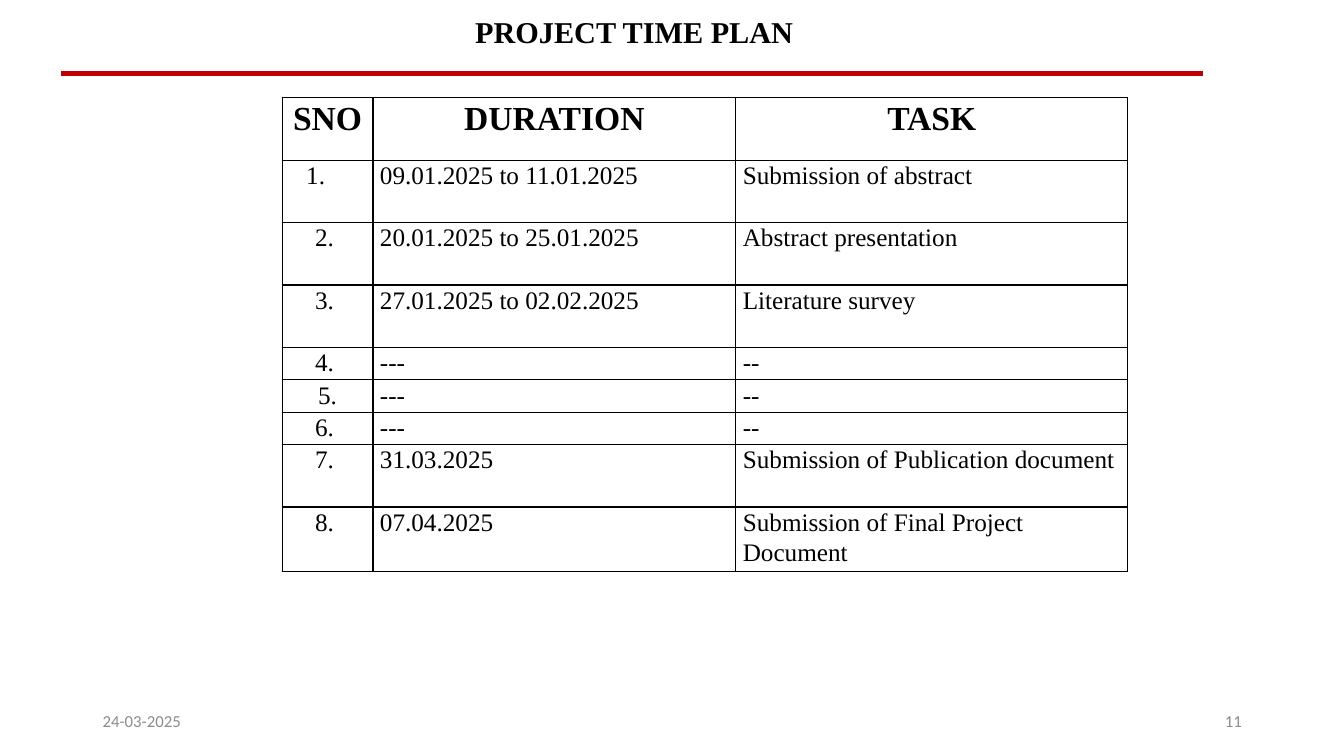
import pptx
import pptx.dml.color
import pptx.enum.shapes
import pptx.enum.text
import pptx.oxml
import pptx.oxml.ns
import pptx.util

Pt = pptx.util.Pt
ALIGN = pptx.enum.text.PP_ALIGN
MIDDLE = pptx.enum.text.MSO_ANCHOR.MIDDLE

COLORS = {"text": "000000", "footer": "8C8C8C", "rule": "C00000", "paper": "FFFFFF"}
SERIF = "Times New Roman"
SANS = "Calibri"

HEADERS = ["SNO", "DURATION", "TASK"]
TASKS = [
    ("09.01.2025 to 11.01.2025", "Submission of abstract"),
    ("20.01.2025 to 25.01.2025", "Abstract presentation"),
    ("27.01.2025 to 02.02.2025", "Literature survey"),
    ("---", "--"),
    ("---", "--"),
    ("---", "--"),
    ("31.03.2025", "Submission of Publication document"),
    ("07.04.2025", "Submission of Final Project Document"),
]
COLUMN_WIDTHS = [64.8, 259.2, 280]
TALL_ROW, SHORT_ROW = 44.6, 21.5
CELL_INSET = 5
NUMBER_INSETS = {1: 22, 5: CELL_INSET}
NUMBER_INSET = 9.5


class SlideBuilder:
    """Draws styled elements on one slide, with lengths in points."""

    def __init__(self, slide):
        self.slide = slide

    def color(self, name):
        return pptx.dml.color.RGBColor.from_string(COLORS[name])

    def style(self, paragraph, size, font, color="text", bold=False, align=ALIGN.LEFT, spacing=1.0):
        paragraph.alignment = align
        paragraph.line_spacing = spacing
        paragraph.font.size = Pt(size)
        paragraph.font.name = font
        paragraph.font.bold = bold
        paragraph.font.color.rgb = self.color(color)

    def text(self, text, left, top, width, height, size, font, **style):
        shape = self.slide.shapes.add_textbox(Pt(left), Pt(top), Pt(width), Pt(height))
        frame = shape.text_frame
        frame.word_wrap = True
        frame.vertical_anchor = MIDDLE
        paragraph = frame.paragraphs[0]
        paragraph.text = text
        self.style(paragraph, size, font, **style)

    def rule(self, left, right, top, width):
        line = self.slide.shapes.add_connector(
            pptx.enum.shapes.MSO_CONNECTOR.STRAIGHT, Pt(left), Pt(top), Pt(right), Pt(top))
        line.line.color.rgb = self.color("rule")
        line.line.width = Pt(width)
        line._element.spPr.append(pptx.oxml.parse_xml(
            f'<a:effectLst {pptx.oxml.ns.nsdecls("a")}/>'))

    def cell(self, cell, text, right_inset=CELL_INSET, **style):
        cell.margin_left, cell.margin_right = Pt(CELL_INSET), Pt(right_inset)
        cell.margin_top = cell.margin_bottom = 0
        cell.fill.solid()
        cell.fill.fore_color.rgb = self.color("paper")
        paragraph = cell.text_frame.paragraphs[0]
        paragraph.text = text
        self.style(paragraph, font=SERIF, spacing=1.07, **style)
        properties = cell._tc.get_or_add_tcPr()
        for position, side in enumerate(["lnL", "lnR", "lnT", "lnB"]):
            properties.insert(position, pptx.oxml.parse_xml(
                f'<a:{side} {pptx.oxml.ns.nsdecls("a")} w="{Pt(1)}"><a:solidFill>'
                f'<a:srgbClr val="{COLORS["text"]}"/></a:solidFill></a:{side}>'))

    def schedule(self, left, top):
        heights = [TALL_ROW] + [SHORT_ROW if task == "--" else TALL_ROW for _, task in TASKS]
        table = self.slide.shapes.add_table(
            len(heights), len(HEADERS), Pt(left), Pt(top),
            Pt(sum(COLUMN_WIDTHS)), Pt(sum(heights))).table
        for column, width in zip(table.columns, COLUMN_WIDTHS):
            column.width = Pt(width)
        for row, height in zip(table.rows, heights):
            row.height = Pt(height)
        for column, header in enumerate(HEADERS):
            self.cell(table.cell(0, column), header, size=24, bold=True, align=ALIGN.CENTER)
        for number, (duration, task) in enumerate(TASKS, 1):
            self.cell(table.cell(number, 0), f"{number}.", size=18, align=ALIGN.CENTER,
                      right_inset=NUMBER_INSETS.get(number, NUMBER_INSET))
            self.cell(table.cell(number, 1), duration, size=18)
            self.cell(table.cell(number, 2), task, size=18)


def main():
    presentation = pptx.Presentation()
    presentation.slide_width, presentation.slide_height = Pt(960), Pt(540)
    builder = SlideBuilder(presentation.slides.add_slide(presentation.slide_layouts[6]))
    builder.text("PROJECT TIME PLAN ", 274.3, 7.9, 362.9, 31.7, 21.6, SERIF,
                 bold=True, align=ALIGN.CENTER, spacing=0.9)
    builder.text("24-03-2025", 66.2, 500.4, 216, 28.8, 12, SANS, color="footer")
    builder.text("11", 678.2, 500.4, 216, 28.8, 12, SANS, color="footer", align=ALIGN.RIGHT)
    builder.schedule(201.6, 69.8)
    builder.rule(43.5, 859.5, 52.5, 3)
    presentation.save("out.pptx")


if __name__ == "__main__":
    main()
